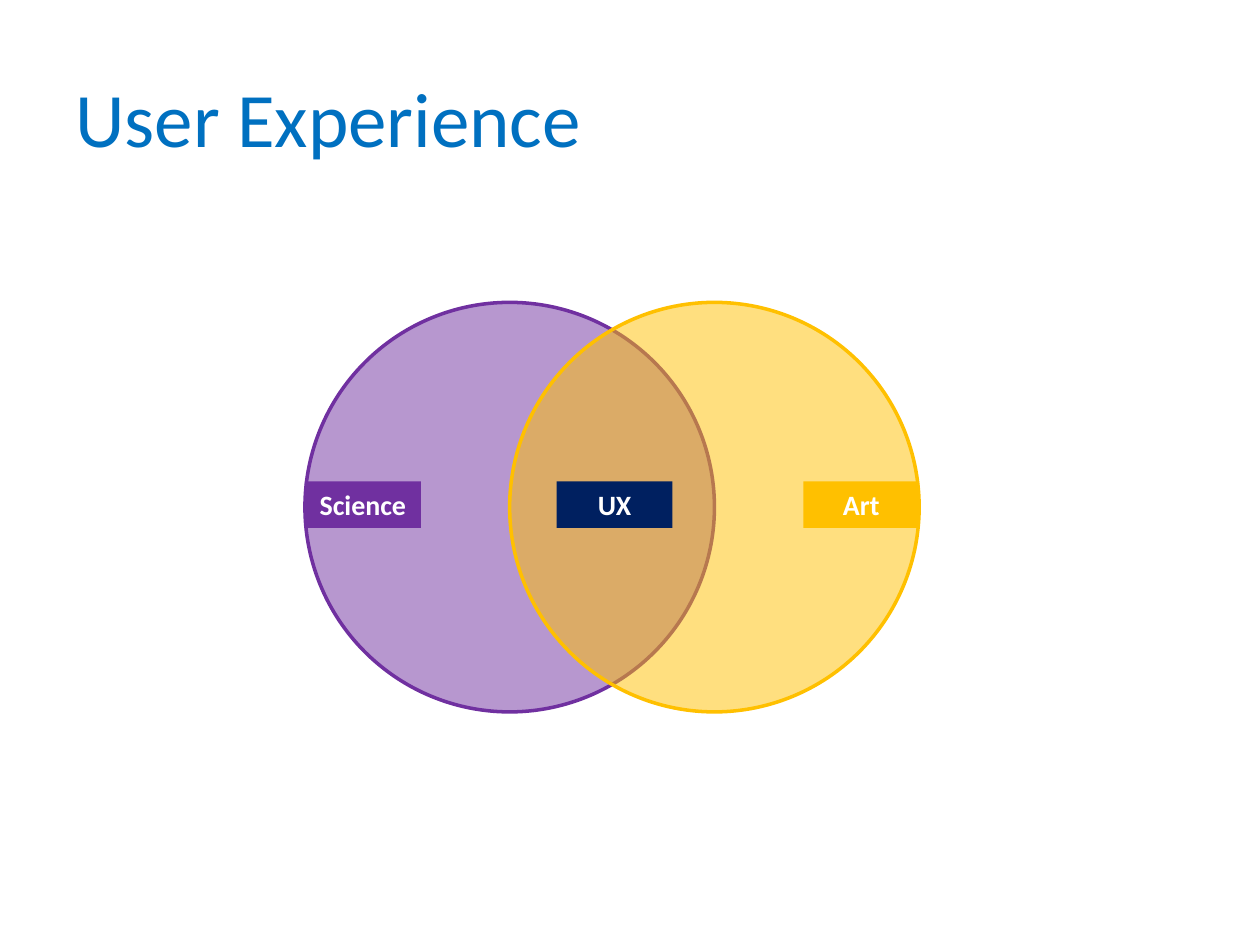
from lxml import etree
from pptx import Presentation
from pptx import util as u
from pptx.dml.color import RGBColor
from pptx.enum import shapes, text
from pptx.oxml.ns import qn

THEME = {
    "font": "Calibri", "title_size": 44, "label_size": 16, "line": 2,
    "title": "0070C0", "science": "7030A0", "art": "FFC000",
    "ux": "002060", "label": "FFFFFF",
}
ALPHA = "50000"

prs = Presentation()
prs.slide_width, prs.slide_height = u.Inches(10), u.Inches(7.5)
W, H = prs.slide_width, prs.slide_height
s = prs.slides.add_slide(prs.slide_layouts[6])


def rgb(name):
    return RGBColor.from_string(THEME[name])


def write(sp, words, size, color, align, bold=False):
    tf = sp.text_frame
    for key, value in {"word_wrap": True,
                       "vertical_anchor": text.MSO_ANCHOR.MIDDLE}.items():
        setattr(tf, key, value)
    p = tf.paragraphs[0]
    p.alignment = align
    r = p.add_run()
    r.text = words
    for key, value in {"name": THEME["font"], "size": u.Pt(THEME[size]),
                       "bold": bold}.items():
        setattr(r.font, key, value)
    r.font.color.rgb = rgb(color)


# Title
sp = s.shapes.add_textbox(int(W * 0.05), int(H * 0.04), int(W * 0.9), u.Inches(1.25))
write(sp, "User Experience", "title_size", "title", text.PP_ALIGN.LEFT)

# Two circles, the second shifted by one radius
diameter = int(W * 0.325)
left, top = int(W * 0.242), int(H * 0.32)
right = left + diameter * 3 // 2

for i, name in enumerate(("science", "art")):
    sp = s.shapes.add_shape(shapes.MSO_SHAPE.OVAL, left + i * diameter // 2, top,
                            diameter, diameter)
    sp.shadow.inherit = False
    sp.fill.solid()
    sp.fill.fore_color.rgb = rgb(name)
    color = sp.fill._xPr.find(qn("a:solidFill"))[0]
    etree.SubElement(color, qn("a:alpha")).set("val", ALPHA)
    sp.line.color.rgb = rgb(name)
    sp.line.width = u.Pt(THEME["line"])

# Labels at the outer edges and in the overlap, on the circles' middle line
label_w, label_h = int(W * 0.092), u.Inches(0.37)
label_top = top + (diameter - label_h) // 2 - u.Inches(0.02)
labels = (("Science", "science", left),
          ("Art", "art", right - label_w),
          ("UX", "ux", (left + right - label_w) // 2 + u.Inches(0.02)))

for words, name, x in labels:
    sp = s.shapes.add_shape(shapes.MSO_SHAPE.RECTANGLE, x, label_top, label_w, label_h)
    sp.shadow.inherit = False
    sp.fill.solid()
    sp.fill.fore_color.rgb = rgb(name)
    sp.line.fill.background()
    write(sp, words, "label_size", "label", text.PP_ALIGN.CENTER, bold=True)

prs.save("out.pptx")
